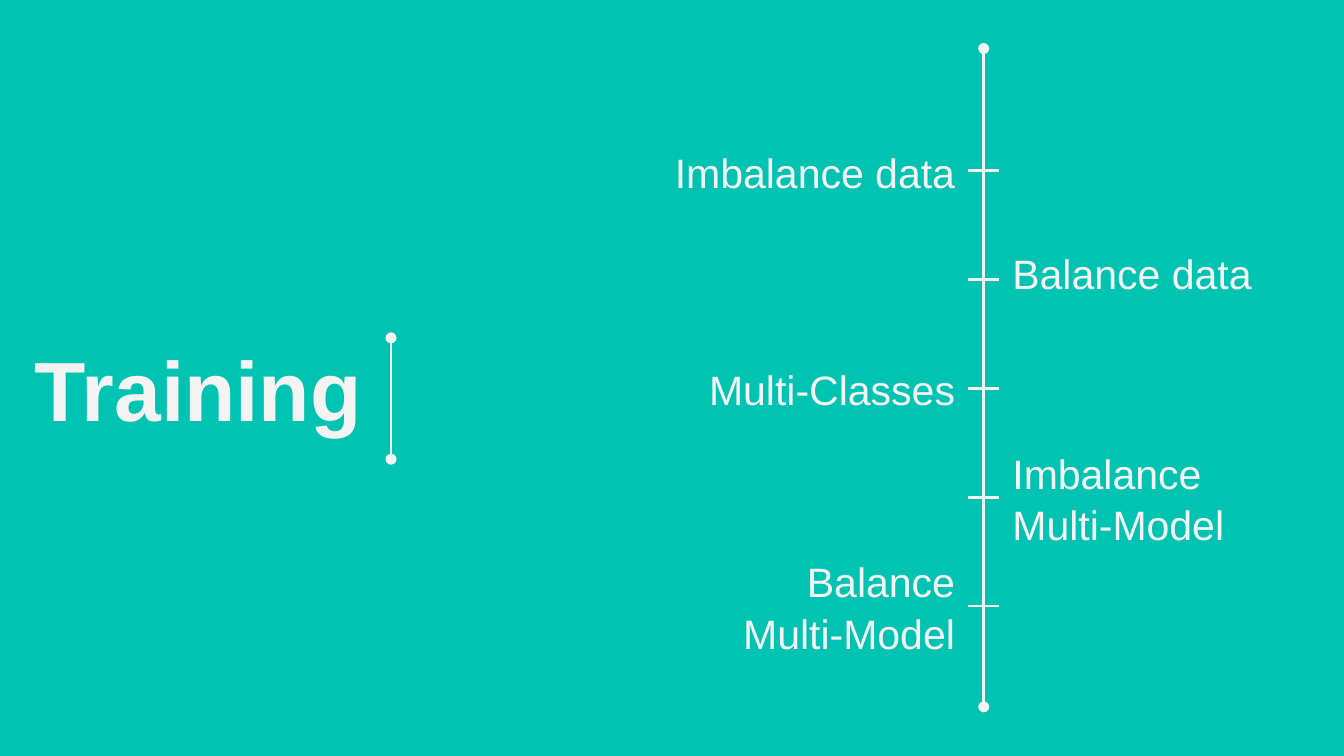
from lxml import etree
from pptx import Presentation
from pptx.dml.color import RGBColor
from pptx.enum.shapes import MSO_CONNECTOR
from pptx.enum.text import MSO_ANCHOR, PP_ALIGN
from pptx.oxml.ns import qn
from pptx.util import Pt

STRAIGHT = MSO_CONNECTOR.STRAIGHT
TOP, MIDDLE = MSO_ANCHOR.TOP, MSO_ANCHOR.MIDDLE
LEFT, RIGHT = PP_ALIGN.LEFT, PP_ALIGN.RIGHT

COLORS = {"background": "00C3B1", "ink": "F3F3F3"}
INSET = 7.2
AXIS_X = 527
TICK_HALF = 8.3
FIRST_TICK_Y = 91.5
TICK_GAP = 58.3
LABEL_HEIGHT = 49.7

# paragraphs, width, alignment, anchor
STEPS = [
    (["Imbalance data"], 210.3, RIGHT, MIDDLE),
    (["Balance data"], 162.7, LEFT, TOP),
    (["Multi-Classes"], 162.7, RIGHT, MIDDLE),
    (["Imbalance", "Multi-Model"], 141.1, LEFT, MIDDLE),
    (["Balance Multi-Model"], 136.8, RIGHT, MIDDLE),
]


def add_text(page, paragraphs, bounds, align, anchor, size, bold=False, spacing=1.0):
    box = page.shapes.add_textbox(*(Pt(value) for value in bounds))
    frame = box.text_frame
    frame_format = {"word_wrap": True, "vertical_anchor": anchor}
    for side in ("left", "top", "right", "bottom"):
        frame_format[f"margin_{side}"] = Pt(INSET)
    for name, value in frame_format.items():
        setattr(frame, name, value)
    frame.text = "\n".join(paragraphs)
    for para in frame.paragraphs:
        para.alignment = align
        para.line_spacing = spacing
        for span in para.runs:
            font_format = {"name": "Arial", "size": Pt(size), "bold": bold}
            for name, value in font_format.items():
                setattr(span.font, name, value)
            span.font.color.rgb = RGBColor.from_string(COLORS["ink"])


def add_line(page, start, end, dotted=False):
    """Draw a straight line, with a round dot at each end if dotted."""
    line = page.shapes.add_connector(
        STRAIGHT, *(Pt(value) for value in (*start, *end)))
    line.line.width = Pt(1.5)
    line.line.color.rgb = RGBColor.from_string(COLORS["ink"])
    if dotted:
        outline = line.line._get_or_add_ln()
        for tag in ("a:headEnd", "a:tailEnd"):
            etree.SubElement(outline, qn(tag), type="oval")
    etree.SubElement(line._element.spPr, qn("a:effectLst"))


def add_step(page, index, paragraphs, width, align, anchor):
    """Add a tick on the axis and its label on one side."""
    tick_y = FIRST_TICK_Y + index * TICK_GAP
    tick_left, tick_right = AXIS_X - TICK_HALF, AXIS_X + TICK_HALF
    add_line(page, (tick_left, tick_y), (tick_right, tick_y))
    label_left = tick_left - width if align == RIGHT else tick_right
    bounds = (label_left, tick_y - LABEL_HEIGHT / 2, width, LABEL_HEIGHT)
    add_text(page, paragraphs, bounds, align, anchor, size=22, spacing=1.04)


def main():
    deck = Presentation()
    deck.slide_width, deck.slide_height = Pt(720), Pt(405)
    page = deck.slides.add_slide(deck.slide_layouts[6])
    fill = page.background.fill
    fill.solid()
    fill.fore_color.rgb = RGBColor.from_string(COLORS["background"])

    add_text(page, ["Training"], (5.8, 173.5, 195, 63.4), RIGHT, TOP,
             size=45, bold=True)
    add_line(page, (209.5, 246), (209.5, 181), dotted=True)
    add_line(page, (AXIS_X, 26), (AXIS_X, 378.7), dotted=True)
    for index, step in enumerate(STEPS):
        add_step(page, index, *step)

    deck.save("out.pptx")


if __name__ == "__main__":
    main()
